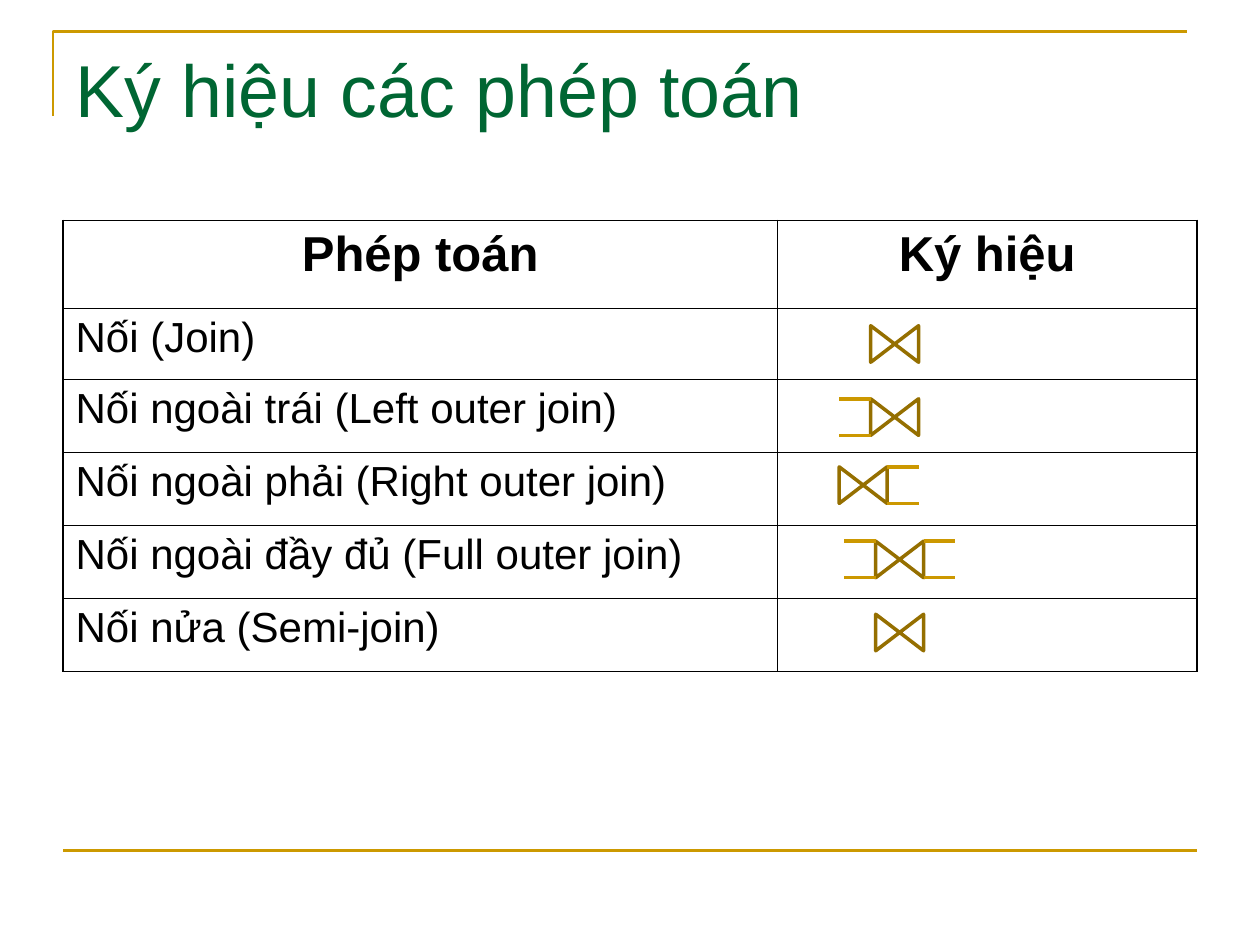
"""Build a slide listing the join operations and their symbols."""
from dataclasses import dataclass

from lxml.etree import SubElement
from pptx import Presentation
from pptx.dml.color import RGBColor
from pptx.enum.shapes import MSO_CONNECTOR, MSO_SHAPE
from pptx.enum.text import MSO_ANCHOR, PP_ALIGN
from pptx.oxml import parse_xml
from pptx.oxml.ns import nsdecls, qn
from pptx.slide import Slide
from pptx.table import _Cell
from pptx.text.text import _Paragraph
from pptx.util import Inches, Pt


@dataclass(frozen=True)
class Theme:
    font: str = "Arial"
    title: RGBColor = RGBColor(0x00, 0x66, 0x33)
    text: RGBColor = RGBColor(0x00, 0x00, 0x00)
    rule: RGBColor = RGBColor(0xCC, 0x99, 0x00)
    bow_tie: RGBColor = RGBColor(0x95, 0x6F, 0x00)
    bar: RGBColor = RGBColor(0xCC, 0x98, 0x00)
    title_size: int = 42
    header_size: int = 28
    body_size: int = 24
    rule_width: float = 1.5
    symbol_width: float = 2
    inner_border: float = 0.45
    outer_border: float = 1.08


@dataclass(frozen=True)
class Operation:
    name: str
    row_height: float
    center_x: float
    center_y: float
    left_bars: bool = False
    right_bars: bool = False


THEME = Theme()
HEADERS = ("Phép toán", "Ký hiệu")
HEADER_HEIGHT = 0.7
COLUMN_WIDTHS = (5.67, 3.33)
BOW_HEIGHT, BOW_WIDTH, BAR_LENGTH = 0.29, 0.38, 0.25
OPERATIONS = (
    Operation("Nối (Join)", 0.56, 7.1, 2.73),
    Operation("Nối ngoài trái (Left outer join)", 0.58, 7.1, 3.31, left_bars=True),
    Operation("Nối ngoài phải (Right outer join)", 0.58, 6.85, 3.85, right_bars=True),
    Operation("Nối ngoài đầy đủ (Full outer join)", 0.58, 7.14, 4.44, True, True),
    Operation("Nối nửa (Semi-join)", 0.58, 7.14, 5.02),
)


def style_paragraph(paragraph: _Paragraph, size: int, color: RGBColor, bold: bool = False) -> None:
    paragraph.font.name = THEME.font
    paragraph.font.size = Pt(size)
    paragraph.font.bold = bold
    paragraph.font.color.rgb = color


def add_line(slide: Slide, start: tuple[float, float], end: tuple[float, float],
             color: RGBColor, width: float) -> None:
    points = [Inches(value) for value in (*start, *end)]
    line = slide.shapes.add_connector(MSO_CONNECTOR.STRAIGHT, *points)
    line.line.color.rgb = color
    line.line.width = Pt(width)
    SubElement(line._element.spPr, qn("a:effectLst"))


def add_frame(slide: Slide) -> None:
    builder = slide.shapes.build_freeform(Inches(0.42), Inches(0.92))
    corners = [(Inches(0.42), Inches(0.25)), (Inches(9.42), Inches(0.25))]
    builder.add_line_segments(corners, close=False)
    corner = builder.convert_to_shape()
    corner.shadow.inherit = False
    corner.fill.background()
    corner.line.color.rgb = THEME.rule
    corner.line.width = Pt(THEME.rule_width)
    add_line(slide, (0.5, 6.75), (9.5, 6.75), THEME.rule, THEME.rule_width)


def add_title(slide: Slide, text: str) -> None:
    box = slide.shapes.add_textbox(Inches(0.5), Inches(0.3), Inches(9), Inches(1.25))
    frame = box.text_frame
    frame.word_wrap = True
    frame.vertical_anchor = MSO_ANCHOR.TOP
    frame.text = text
    style_paragraph(frame.paragraphs[0], THEME.title_size, THEME.title)


def set_borders(cell: _Cell, outer: dict[str, bool]) -> None:
    properties = cell._tc.get_or_add_tcPr()
    for index, (side, is_outer) in enumerate(outer.items()):
        width = Pt(THEME.outer_border if is_outer else THEME.inner_border)
        border = parse_xml(
            f'<a:{side} {nsdecls("a")} w="{width}"><a:solidFill>'
            f'<a:srgbClr val="{THEME.text}"/></a:solidFill></a:{side}>')
        properties.insert(index, border)


def add_operation_table(slide: Slide) -> None:
    rows = [HEADERS, *((operation.name, "") for operation in OPERATIONS)]
    heights = [HEADER_HEIGHT, *(operation.row_height for operation in OPERATIONS)]
    table = slide.shapes.add_table(
        len(rows), len(HEADERS), Inches(0.5), Inches(1.75),
        Inches(sum(COLUMN_WIDTHS)), Inches(sum(heights))).table
    table.first_row = table.horz_banding = False
    for column, width in zip(table.columns, COLUMN_WIDTHS):
        column.width = Inches(width)
    for row_index, (texts, height) in enumerate(zip(rows, heights)):
        table.rows[row_index].height = Inches(height)
        is_header = row_index == 0
        for column_index, text in enumerate(texts):
            cell = table.cell(row_index, column_index)
            cell.fill.background()
            cell.text = text
            paragraph = cell.text_frame.paragraphs[0]
            paragraph.alignment = PP_ALIGN.CENTER if is_header else PP_ALIGN.LEFT
            size = THEME.header_size if is_header else THEME.body_size
            style_paragraph(paragraph, size, THEME.text, is_header)
            set_borders(cell, {
                "lnL": column_index == 0,
                "lnR": column_index == len(texts) - 1,
                "lnT": is_header,
                "lnB": row_index == len(rows) - 1,
            })


def add_symbol(slide: Slide, operation: Operation) -> None:
    x, y = operation.center_x, operation.center_y
    bow_tie = slide.shapes.add_shape(
        MSO_SHAPE.FLOWCHART_COLLATE, Inches(x - BOW_HEIGHT / 2), Inches(y - BOW_WIDTH / 2),
        Inches(BOW_HEIGHT), Inches(BOW_WIDTH))
    bow_tie.rotation = 90
    bow_tie.shadow.inherit = False
    bow_tie.fill.background()
    bow_tie.line.color.rgb = THEME.bow_tie
    bow_tie.line.width = Pt(THEME.symbol_width)
    for direction, present in ((-1, operation.left_bars), (1, operation.right_bars)):
        if present:
            inner = x + direction * BOW_WIDTH / 2
            outer = inner + direction * BAR_LENGTH
            for bar_y in (y - BOW_HEIGHT / 2, y + BOW_HEIGHT / 2):
                add_line(slide, (inner, bar_y), (outer, bar_y), THEME.bar, THEME.symbol_width)


def main() -> None:
    presentation = Presentation()
    presentation.slide_width, presentation.slide_height = Inches(10), Inches(7.5)
    slide = presentation.slides.add_slide(presentation.slide_layouts[6])
    add_frame(slide)
    add_title(slide, "Ký hiệu các phép toán")
    add_operation_table(slide)
    for operation in OPERATIONS:
        add_symbol(slide, operation)
    presentation.save("out.pptx")


if __name__ == "__main__":
    main()
